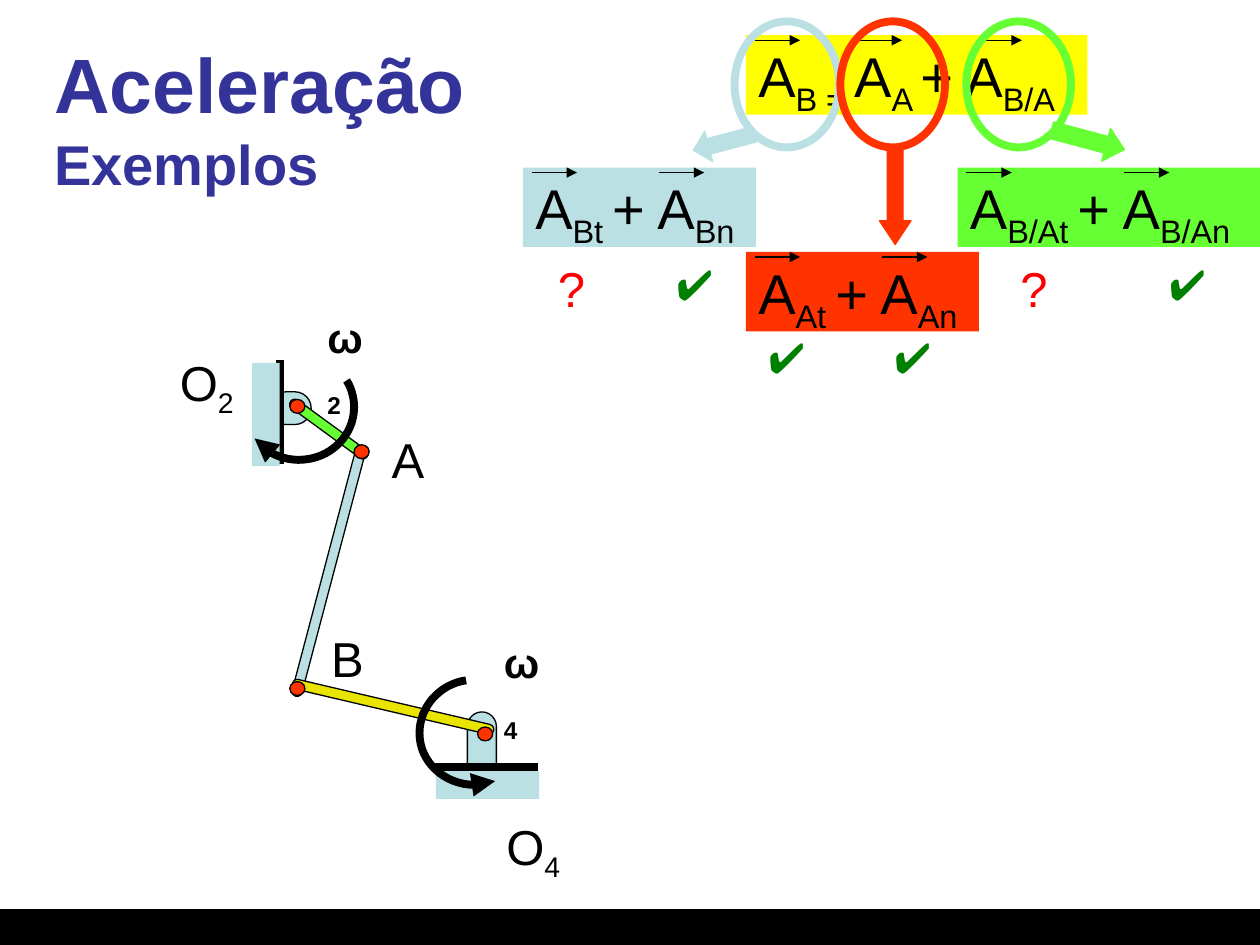
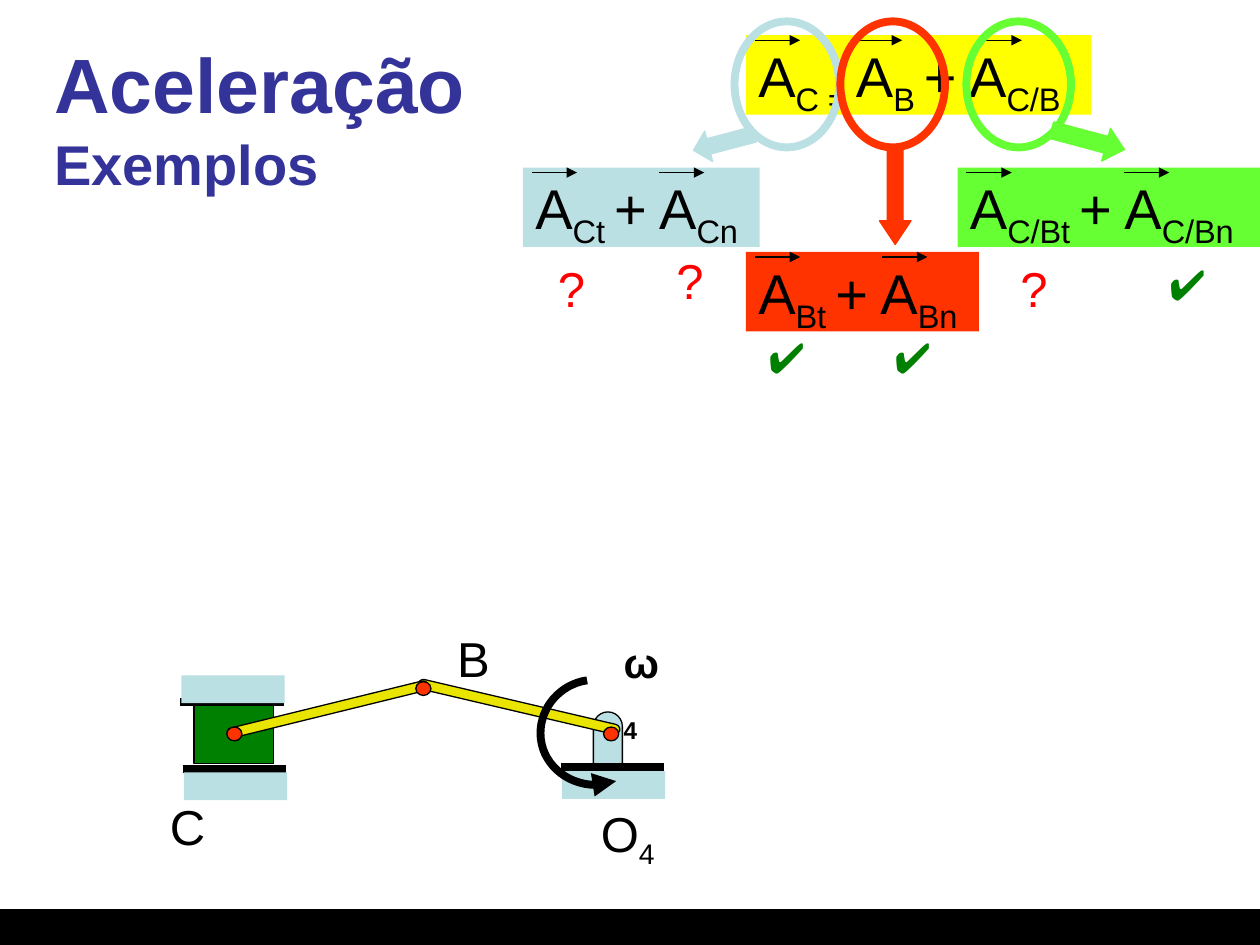
from lxml import etree
from pptx import Presentation
from pptx import util as u
from pptx.dml.color import RGBColor
from pptx.enum import shapes, text
from pptx.oxml.ns import qn

SCALE = 9144
KIND = shapes.MSO_SHAPE
FONT = "Arial"
BLACK, WHITE, NAVY = "000000", "FFFFFF", "333399"
PALE, RED, LIME = "BBE0E3", "FF3300", "66FF33"
GOLD, SUN, GREEN, ALERT = "E9E400", "FFFF00", "008000", "FF0000"
THIN, THICK = 0.75, 4.5

TITLE = (("Aceleração", 44), ("Exemplos", 32))
TITLE_BOX = (33, 30, 933, 125)
BAND = (0, 722, 1000, 28)

BOXES = (
    (592, 28, SUN, (7, 88, 183)),
    (415, 133, PALE, (7, 108)),
    (760, 133, LIME, (7, 132)),
    (592, 200, RED, (7, 108)),
)
RINGS = ((583, PALE), (767, LIME), (667, RED))
ARROWS = (
    ((562, 88, 25, 50), PALE, 75.3, 0.5),
    ((850, 81, 27, 60), LIME, 285, 0.56),
    ((698, 119, 25, 75), RED, 0, 0.75),
)
MARKS = {"✔": (24, GREEN, 48, 50), "?": (28, ALERT, 42, 57)}
PLACES = ((433, 200), (527, 200), (800, 200), (918, 200), (600, 258), (700, 258))

ARC_A = ((275, 302), (279, 308), (281, 316), (281, 323), (281, 346),
         (262, 365), (237, 365), (224, 365), (210, 359), (202, 348))
ARC_B = ((370, 540), (349, 543), (333, 561), (333, 582), (333, 605),
         (353, 623), (377, 623), (383, 623), (388, 622), (393, 620))


def bar(box, fill, rot=0):
    return dict(kind=KIND.ROUNDED_RECTANGLE, box=box, fill=fill, rot=rot, adj=(0.5,))


def pin(x, y):
    return dict(kind=KIND.OVAL, box=(x, y, 12, 11), fill=RED)


def ground(x, y):
    return dict(box=(x, y, 82, 22), fill=PALE, line=None)


def rocker(dx):
    return [
        bar((371 + dx, 565, 23, 65), PALE),
        (345 + dx, 609, 427 + dx, 609),
        ground(346 + dx, 612),
        bar((308 + dx, 479, 8, 164), GOLD, 283.2),
        pin(379 + dx, 577),
    ]


CRANK = [
    bar((214, 311, 33, 26), PALE),
    bar((257, 351, 8, 205), PALE, 14.8),
    bar((257, 303, 8, 75), LIME, 306.1),
    (222, 286, 222, 368),
    dict(box=(200, 288, 22, 82), fill=PALE, line=None),
    *rocker(0),
    pin(230, 317), pin(230, 541), pin(281, 353),
]
SLIDER = [
    dict(box=(154, 559, 63, 47), fill=GREEN),
    *rocker(100),
    bar((256, 481, 8, 164), GOLD, 76.2),
    pin(330, 541), pin(180, 577),
    (145, 610, 227, 610), ground(146, 613),
    (143, 557, 225, 557), ground(144, 536),
]

SLIDES = (
    dict(
        parts=CRANK,
        labels=(("O|2", 133, 275, 67, WHITE), ("O|4", 392, 643, 67, None),
                ("A", 301, 336, 46, WHITE), ("B", 253, 494, 46, None)),
        turns=((ARC_A, 0, "ω|2", 250, 242), (ARC_B, 0, "ω|4", 390, 500)),
        sums=(("A|B = |A|A |+ A|B/A", 271), ("A|Bt |+ A|Bn", 185),
              ("A|B/At |+ A|B/An", 240), ("A|At |+ A|An", 185)),
        marks="?✔?✔✔✔",
    ),
    dict(
        parts=SLIDER,
        labels=(("O|4", 467, 633, 67, None), ("B", 353, 494, 46, None),
                ("C", 125, 627, 48, None)),
        turns=((ARC_B, 96, "ω|4", 485, 500),),
        sums=(("A|C = |A|B |+ A|C/B", 274), ("A|Ct |+ A|Cn", 188),
              ("A|C/Bt |+ A|C/Bn", 240), ("A|Bt |+ A|Bn", 185)),
        marks="???✔✔✔",
    ),
)


def emu(vals):
    return [round(v * SCALE) for v in vals]


def tint(code):
    return RGBColor.from_string(code)


def put(obj, vals):
    for name, val in vals.items():
        setattr(obj, name, val)


def paint(fill, code):
    if code:
        fill.solid()
        fill.fore_color.rgb = tint(code)
    else:
        fill.background()


def stroke(line, code, width):
    paint(line.fill, code)
    if code:
        line.width = u.Pt(width)


def tip(line):
    ln = line._get_or_add_ln()
    etree.SubElement(ln, qn("a:tailEnd"), type="triangle")


def shape(slide, box, kind=KIND.RECTANGLE, fill=None, line=BLACK, width=THIN, rot=0, adj=()):
    item = slide.shapes.add_shape(kind, *emu(box))
    item.shadow.inherit = False
    item.rotation = rot
    for num, val in enumerate(adj):
        item.adjustments[num] = val
    paint(item.fill, fill)
    stroke(item.line, line, width)
    return item


def rule(slide, ends, width=THICK, head=False):
    item = slide.shapes.add_connector(shapes.MSO_CONNECTOR.STRAIGHT, *emu(ends))
    stroke(item.line, BLACK, width)
    if head:
        tip(item.line)
    etree.SubElement(item._element.spPr, qn("a:effectLst"))


def style(run, size, code, bold=False):
    put(run.font, dict(name=FONT, size=u.Pt(size), bold=bold))
    run.font.color.rgb = tint(code)


def write(slide, words, box, size, code=BLACK, fill=None, bold=False):
    item = slide.shapes.add_textbox(*emu(box))
    paint(item.fill, fill)
    item.text_frame.word_wrap = True
    para = item.text_frame.paragraphs[0]
    for num, part in enumerate(words.split("|")):
        run = para.add_run()
        run.text = part
        style(run, size, code, bold)
        if num % 2:
            run._r.get_or_add_rPr().set("baseline", "-25000")


def curve(knots, steps=16):
    pts = [knots[0]]
    for k in range(0, len(knots) - 1, 3):
        quad = knots[k:k + 4]
        for n in range(1, steps + 1):
            t = n / steps
            mix = ((1 - t) ** 3, 3 * t * (1 - t) ** 2, 3 * t * t * (1 - t), t ** 3)
            pts.append(tuple(sum(m * p[a] for m, p in zip(mix, quad)) for a in (0, 1)))
    return pts


def turn(slide, knots, dx):
    pts = [emu((x + dx, y)) for x, y in curve(knots)]
    pen = slide.shapes.build_freeform(*pts[0])
    pen.add_line_segments(pts[1:], close=False)
    item = pen.convert_to_shape()
    item.shadow.inherit = False
    paint(item.fill, None)
    stroke(item.line, BLACK, THICK)
    tip(item.line)


def head(slide):
    item = slide.shapes.title
    put(item, dict(zip(("left", "top", "width", "height"), emu(TITLE_BOX))))
    put(item.text_frame, dict(word_wrap=True, auto_size=text.MSO_AUTO_SIZE.NONE,
                              vertical_anchor=text.MSO_ANCHOR.MIDDLE))
    para = item.text_frame.paragraphs[0]
    para.alignment = text.PP_ALIGN.LEFT
    for num, (words, size) in enumerate(TITLE):
        if num:
            para.add_line_break()
        run = para.add_run()
        run.text = words
        style(run, size, NAVY, True)


def draw(slide, data):
    head(slide)
    for part in data["parts"]:
        if isinstance(part, dict):
            shape(slide, **part)
        else:
            rule(slide, part)
    for words, x, y, wide, fill in data["labels"]:
        write(slide, words, (x, y, wide, 57), 28, fill=fill)
    for knots, dx, words, x, y in data["turns"]:
        turn(slide, knots, dx)
        write(slide, words, (x, y, 55, 50), 24, bold=True)
    for (x, y, fill, tops), (words, wide) in zip(BOXES, data["sums"]):
        write(slide, words, (x, y, wide, 63), 32, fill=fill)
        for dx in tops:
            rule(slide, (x + dx, y + 4, x + dx + 36, y + 4), THIN, True)
    for x, code in RINGS:
        shape(slide, (x, 17, 83, 100), KIND.OVAL, line=code, width=THICK)
    for box, code, rot, tall in ARROWS:
        shape(slide, box, KIND.DOWN_ARROW, code, code, rot=rot, adj=(0.5, tall))
    for num, (mark, (x, y)) in enumerate(zip(data["marks"], PLACES)):
        size, code, wide, high = MARKS[mark]
        lift = 6 if num == 1 and mark == "?" else 0
        write(slide, mark, (x, y - lift, wide, high), size, code)


def main():
    deck = Presentation()
    put(deck, dict(zip(("slide_width", "slide_height"), emu((1000, 750)))))
    layout = deck.slide_layouts[5]
    for num, data in enumerate(SLIDES):
        slide = deck.slides.add_slide(layout)
        if num == 0:
            band = shape(slide, BAND, fill=BLACK)
            layout.shapes.element.append(band.element)
        draw(slide, data)
    deck.save("out.pptx")


if __name__ == "__main__":
    main()
